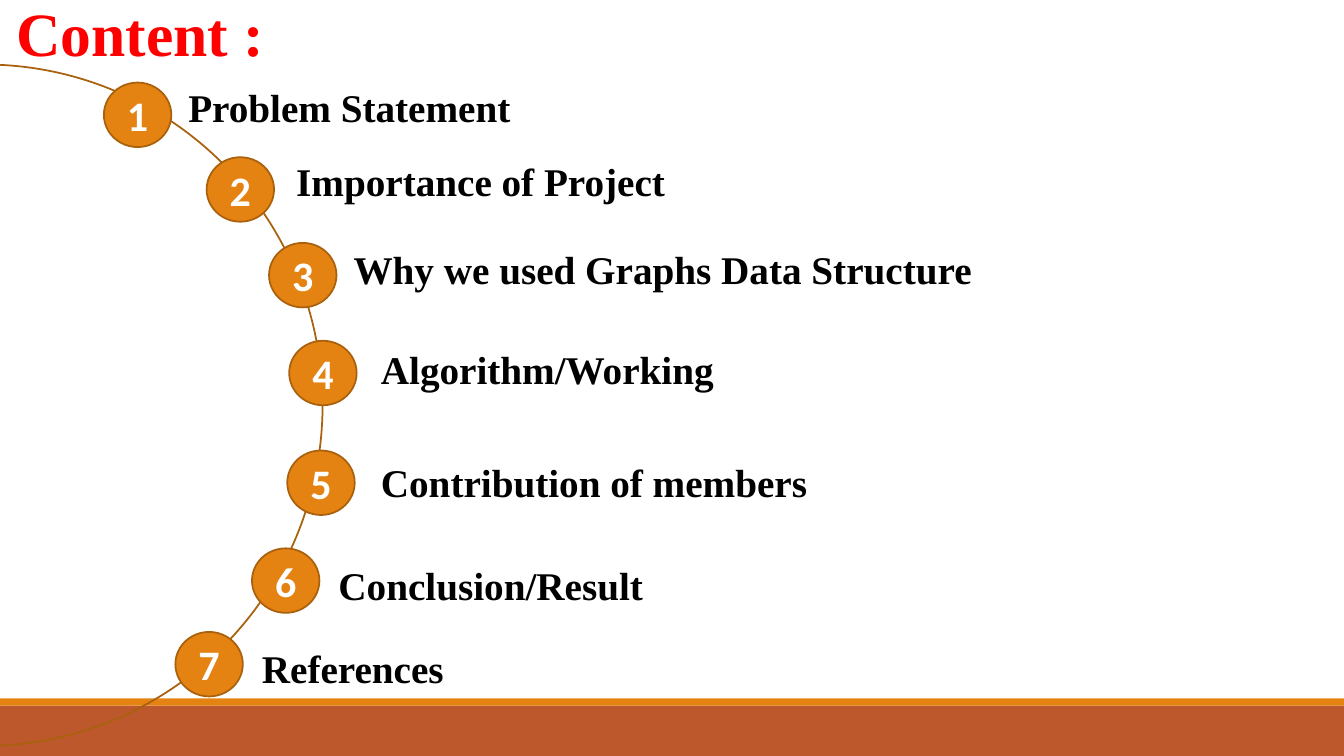
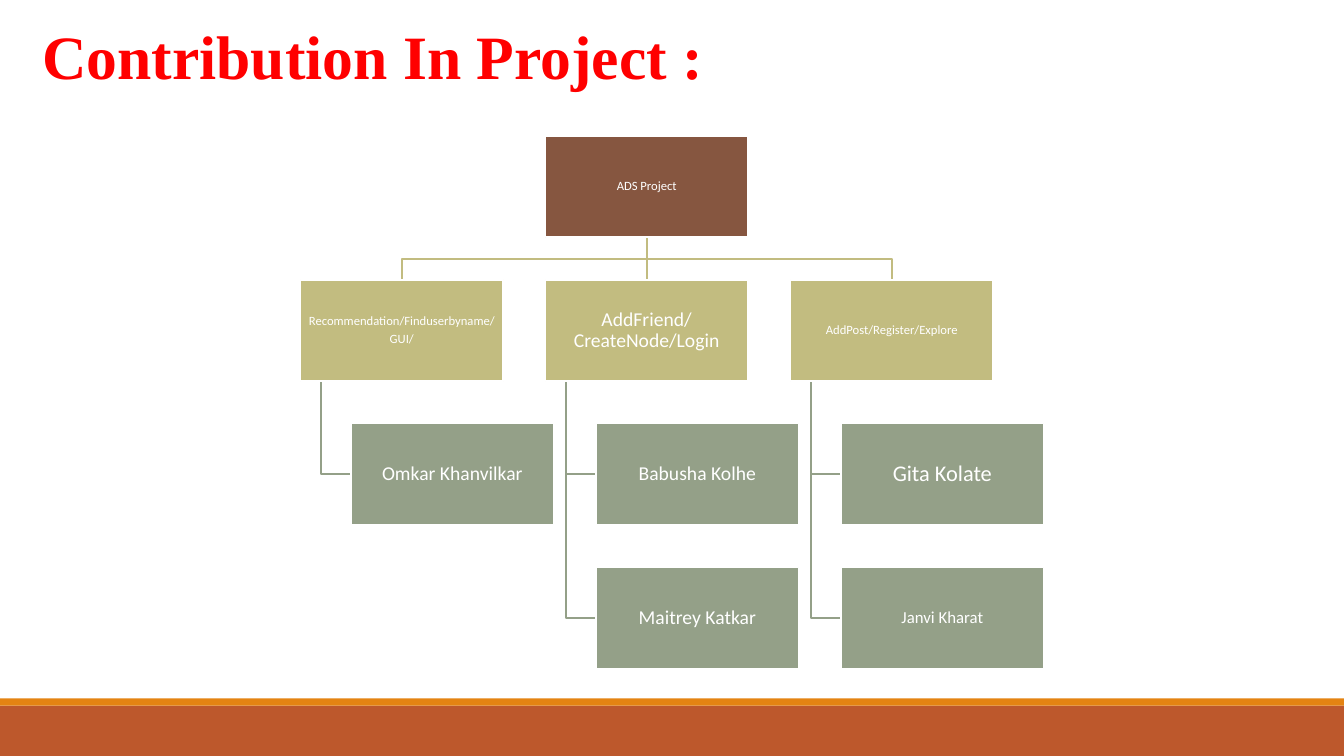
from lxml import etree
from pptx import Presentation
from pptx.dml.color import RGBColor
from pptx.enum.shapes import MSO_CONNECTOR as CONNECTOR, MSO_SHAPE as SHAPE
from pptx.enum.text import MSO_ANCHOR as ANCHOR, MSO_AUTO_SIZE as AUTO_SIZE, PP_ALIGN as ALIGN
from pptx.oxml.ns import qn
from pptx.util import Pt

COLORS = {
    "title": "FF0000", "text": "000000", "white": "FFFFFF",
    "band": "BD582C", "accent": "E48312", "outline": "A9610D",
    "root": "865640", "task": "C2BC80", "member": "94A088",
}
SERIF, SANS = "Times New Roman", "Calibri"
LINE_WIDTH = 1.25
SLIDE_WIDTH, SLIDE_HEIGHT = 960, 540

# label, circle left and top, label left, top and width
CONTENTS = [
    ("Problem Statement", 74.2, 59, 127.4, 56.2, 345),
    ("Importance of Project", 147.6, 112.3, 204.5, 108.7, 345),
    ("Why we used Graphs Data Structure", 192.2, 173.5, 245.5, 171.4, 492.5),
    ("Algorithm/Working", 206.6, 243.4, 265, 243.4, 309),
    ("Contribution of members", 205.2, 321.8, 265, 324, 396),
    ("Conclusion/Result", 180, 391.7, 234.7, 397.4, 257),
    ("References", 125.3, 451.4, 180, 456.5, 180),
]
CIRCLE_WIDTH, CIRCLE_HEIGHT = 48.2, 46.1

# task text and size, then its members with their sizes
TASKS = [
    ("Recommendation/Finduserbyname/\nGUI/", 9, [("Omkar Khanvilkar", 14)]),
    ("AddFriend/CreateNode/Login", 14, [("Babusha Kolhe", 14), ("Maitrey Katkar", 14)]),
    ("AddPost/Register/Explore", 9, [("Gita Kolate", 16), ("Janvi Kharat", 12)]),
]
CHART_LEFT, CHART_TOP = 214.6, 97.2
BOX_WIDTH, BOX_HEIGHT = 144.7, 72.4
COLUMN_STEP, ROW_STEP = 175, 102.7
INDENT, TRUNK = BOX_WIDTH / 4, BOX_WIDTH / 10


def rgb(name):
    """Return the named colour."""
    return RGBColor.from_string(COLORS[name])


def style_text(frame, size, font, color, bold=False, align=ALIGN.LEFT):
    """Format every paragraph and run of a text frame."""
    frame.word_wrap = True
    for paragraph in frame.paragraphs:
        paragraph.alignment = align
        for run in paragraph.runs:
            run.font.size = Pt(size)
            run.font.name = font
            run.font.bold = bold
            run.font.color.rgb = rgb(color)


def style_line(shape, color):
    """Give a shape or connector its outline."""
    shape.line.color.rgb = rgb(color)
    shape.line.width = Pt(LINE_WIDTH)


def add_shape(slide, kind, left, top, width, height, fill=None, line=None):
    """Add a preset shape without a shadow."""
    shape = slide.shapes.add_shape(kind, Pt(left), Pt(top), Pt(width), Pt(height))
    shape.shadow.inherit = False
    if fill:
        shape.fill.solid()
        shape.fill.fore_color.rgb = rgb(fill)
    else:
        shape.fill.background()
    if line:
        style_line(shape, line)
    else:
        shape.line.fill.background()
    return shape


def prepare_layout(layout, slide):
    """Keep only the layout's title and move the two bottom bands onto it."""
    for placeholder in list(layout.placeholders):
        if placeholder.placeholder_format.idx != 0:
            layout.shapes.element.remove(placeholder.element)
    for top, height, color in ((504, 36, "band"), (498.8, 5.2, "accent")):
        band = add_shape(slide, SHAPE.RECTANGLE, 0, top, SLIDE_WIDTH, height, color)
        layout.shapes.element.append(band.element)


def set_title(slide, text, left, top, width):
    """Fill and place the title placeholder."""
    title = slide.shapes.title
    title.left, title.top, title.width, title.height = Pt(left), Pt(top), Pt(width), Pt(60.5)
    frame = title.text_frame
    frame.text = text
    frame.vertical_anchor = ANCHOR.TOP
    frame.auto_size = AUTO_SIZE.SHAPE_TO_FIT_TEXT
    style_text(frame, 44, SERIF, "title", bold=True)


def add_label(slide, text, left, top, width):
    """Add the text of one content entry."""
    frame = slide.shapes.add_textbox(Pt(left), Pt(top), Pt(width), Pt(41)).text_frame
    frame.text = text
    frame.auto_size = AUTO_SIZE.SHAPE_TO_FIT_TEXT
    style_text(frame, 28, SERIF, "text", bold=True)


def add_number(slide, number, left, top):
    """Add a numbered circle."""
    circle = add_shape(slide, SHAPE.OVAL, left, top, CIRCLE_WIDTH, CIRCLE_HEIGHT,
                       "accent", "outline")
    frame = circle.text_frame
    frame.text = str(number)
    frame.vertical_anchor = ANCHOR.MIDDLE
    style_text(frame, 30, SANS, "white", bold=True, align=ALIGN.CENTER)


def add_box(slide, text, size, left, row, fill):
    """Add one box of the organisation chart."""
    box = add_shape(slide, SHAPE.RECTANGLE, left, row_top(row), BOX_WIDTH, BOX_HEIGHT,
                    fill, "white")
    frame = box.text_frame
    frame.text = text
    frame.vertical_anchor = ANCHOR.MIDDLE
    frame.margin_left = frame.margin_right = Pt(0.72)
    frame.margin_top = frame.margin_bottom = Pt(0.72)
    style_text(frame, size, SANS, "white", align=ALIGN.CENTER)
    for paragraph in frame.paragraphs:
        paragraph.line_spacing = 0.9
        paragraph.space_after = Pt(size * 0.35)


def add_elbow(slide, points, color):
    """Draw an open line through the given points."""
    start, *others = [(Pt(x), Pt(y)) for x, y in points]
    builder = slide.shapes.build_freeform(*start)
    builder.add_line_segments(others, close=False)
    elbow = builder.convert_to_shape()
    elbow.shadow.inherit = False
    elbow.fill.background()
    style_line(elbow, color)


def add_straight(slide, start, end, color):
    """Draw a straight connector without a shadow."""
    connector = slide.shapes.add_connector(
        CONNECTOR.STRAIGHT, *(Pt(value) for value in (*start, *end)))
    style_line(connector, color)
    etree.SubElement(connector.element.spPr, qn("a:effectLst"))


def row_top(row):
    """Return the top of a chart row."""
    return CHART_TOP + row * ROW_STEP


def column_left(column):
    """Return the left edge of a chart column."""
    return CHART_LEFT + column * COLUMN_STEP


def add_root_line(slide, column):
    """Link the root box to the task in a column."""
    root_x = column_left(1) + BOX_WIDTH / 2
    task_x = column_left(column) + BOX_WIDTH / 2
    top, bottom = row_top(0) + BOX_HEIGHT, row_top(1)
    if column == 1:
        add_straight(slide, (root_x, top), (task_x, bottom), "task")
    else:
        middle = (top + bottom) / 2
        add_elbow(slide, [(root_x, top), (root_x, middle),
                          (task_x, middle), (task_x, bottom)], "task")


def add_member_line(slide, column, row):
    """Link a task to the member box in a row below it."""
    left = column_left(column)
    middle = row_top(row) + BOX_HEIGHT / 2
    add_elbow(slide, [(left + TRUNK, row_top(1) + BOX_HEIGHT),
                      (left + TRUNK, middle), (left + INDENT, middle)], "member")


def build_contents(slide):
    """Build the numbered contents along an arc."""
    set_title(slide, "Content :", 4.3, -7.2, 600)
    add_shape(slide, SHAPE.OVAL, -252.7, 46.1, 483.1, 486.7, line="outline")
    for number, (text, left, top, *label_place) in enumerate(CONTENTS, 1):
        add_number(slide, number, left, top)
        add_label(slide, text, *label_place)


def build_contribution(slide):
    """Build the organisation chart of tasks and members."""
    set_title(slide, "Contribution In Project :", 23, 9.4, 925)
    for column, (_, _, members) in enumerate(TASKS):
        add_root_line(slide, column)
        for row in range(2, 2 + len(members)):
            add_member_line(slide, column, row)
    add_box(slide, "ADS Project", 9, column_left(1), 0, "root")
    for column, (task, task_size, members) in enumerate(TASKS):
        left = column_left(column)
        add_box(slide, task, task_size, left, 1, "task")
        for row, (member, size) in enumerate(members, 2):
            add_box(slide, member, size, left + INDENT, row, "member")


def main():
    """Build and save the presentation."""
    presentation = Presentation()
    presentation.slide_width, presentation.slide_height = Pt(SLIDE_WIDTH), Pt(SLIDE_HEIGHT)
    layout = presentation.slide_layouts.get_by_name("Title Only")
    contents = presentation.slides.add_slide(layout)
    prepare_layout(layout, contents)
    build_contents(contents)
    build_contribution(presentation.slides.add_slide(layout))
    presentation.save("out.pptx")


main()
